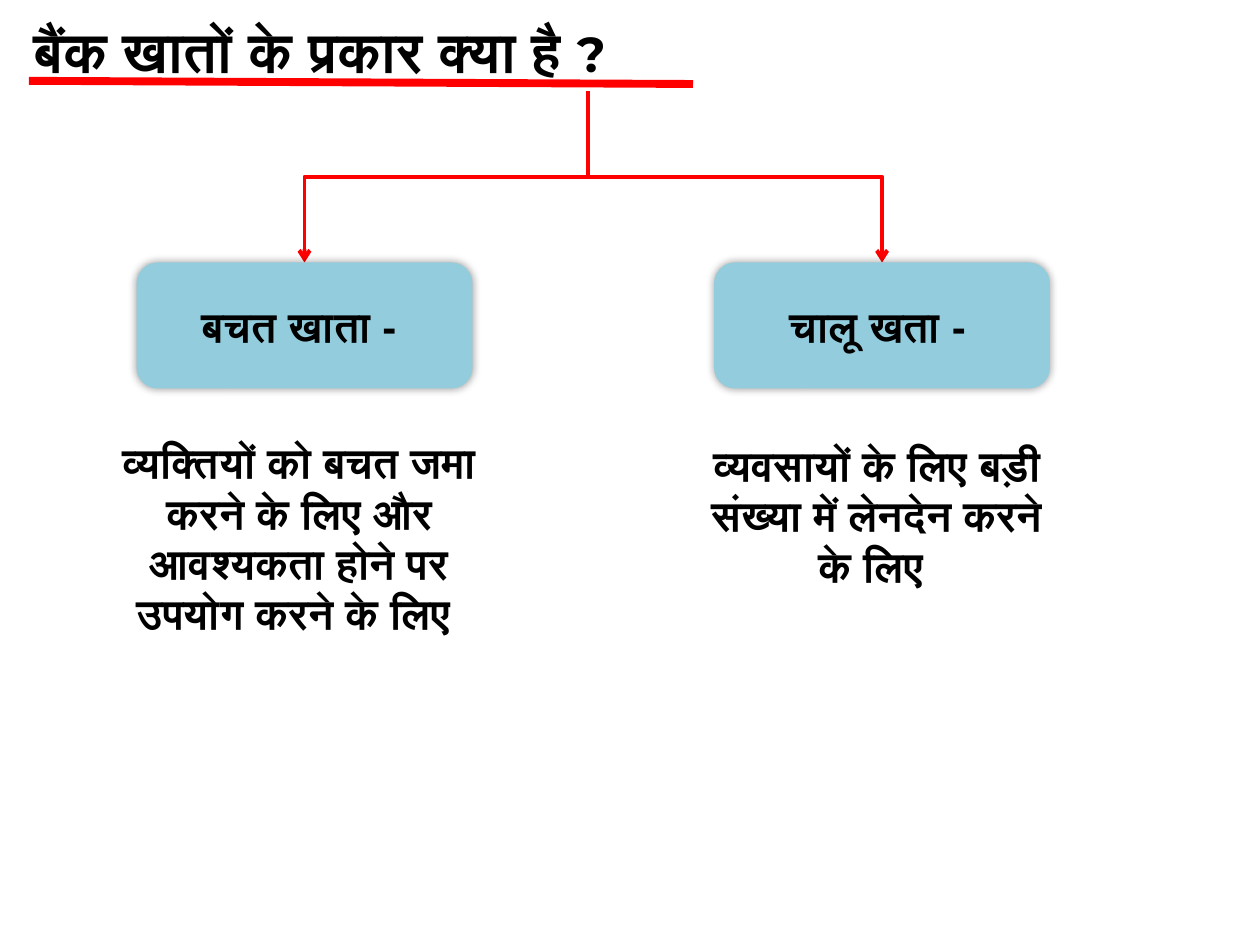
from lxml import etree
from pptx import Presentation, util as u
from pptx.dml.color import RGBColor
from pptx.enum import shapes, text
from pptx.oxml import ns

COLUMNS, ROWS = 120, 90
RED, BLUE, BLACK = "FF0000", "93CDDD", "000000"

presentation = Presentation()
presentation.slide_width, presentation.slide_height = u.Inches(10), u.Inches(7.5)
slide = presentation.slides.add_slide(presentation.slide_layouts[6])


def grid(*lengths):
    units = (presentation.slide_width / COLUMNS, presentation.slide_height / ROWS)
    return [round(length * units[i % 2]) for i, length in enumerate(lengths)]


def color(value):
    return RGBColor.from_string(value)


def add_element(parent, tag, **attributes):
    return etree.SubElement(parent, ns.qn(tag), attributes)


def write_text(parent, box, *runs, font="Arial", size=24, align=None):
    frame = parent.shapes.add_textbox(*grid(*box)).text_frame
    frame.word_wrap = True
    frame.auto_size = text.MSO_AUTO_SIZE.SHAPE_TO_FIT_TEXT
    paragraph = frame.paragraphs[0]
    paragraph.alignment = align
    for content, run_size in runs:
        run = paragraph.add_run()
        run.text = content
        run.font.name, run.font.size, run.font.bold = font, u.Pt(run_size or size), True
        run.font.color.rgb = color(BLACK)


def add_line(kind, start, end, width, arrow=False):
    line = slide.shapes.add_connector(kind, *grid(*start, *end))
    line.line.color.rgb = color(RED)
    line.line.width = u.Pt(width)
    if arrow:
        add_element(line.line._get_or_add_ln(), "a:tailEnd", type="arrow")
    add_element(line._element.spPr, "a:effectLst")
    return line


def add_title(box):
    left, top, width, height = box
    write_text(slide, box, ("बैंक खातों के प्रकार क्या है ", 32), ("?", 28), font="Montserrat")
    add_line(shapes.MSO_CONNECTOR.STRAIGHT,
             (left + 0.75, top + 6.7), (left + 64, top + 7), 4.5)


def add_branch(start, end):
    span, drop = end[0] - start[0], end[1] - start[1]
    center_x, center_y = (start[0] + end[0]) / 2, (start[1] + end[1]) / 2
    side = 1 if span > 0 else -1
    half_drop, half_span = side * drop / 2, abs(span) / 2
    branch = add_line(shapes.MSO_CONNECTOR.ELBOW,
                      (center_x + half_drop, center_y - half_span),
                      (center_x - half_drop, center_y + half_span), 2.25, arrow=True)
    branch.rotation = 270 if side > 0 else 90


def add_card(box, label, indent):
    left, top, width, height = box
    group = slide.shapes.add_group_shape()
    card = group.shapes.add_shape(shapes.MSO_SHAPE.ROUNDED_RECTANGLE, *grid(*box))
    card.fill.solid()
    card.fill.fore_color.rgb = color(BLUE)
    card.line.fill.background()
    effects = add_element(card._element.spPr, "a:effectLst")
    shadow = add_element(effects, "a:outerShdw", blurRad=str(u.Pt(5)), dist="0", dir="0",
                         algn="ctr", rotWithShape="0")
    add_element(add_element(shadow, "a:srgbClr", val=BLACK), "a:alpha", val="40000")
    write_text(group, (left + indent, top + 3, 22, 6), (label, None))


def add_account(box, label, indent, description, description_box):
    left, top, width, height = box
    add_branch((56, 8.67), (left + width / 2, top))
    add_card(box, label, indent)
    write_text(slide, description_box, (description, None), align=text.PP_ALIGN.CENTER)


add_title((2, 1, 108, 7.7))
add_account((13, 25, 32, 12), "बचत खाता -", 5,
            "व्यक्तियों को बचत जमा करने के लिए और आवश्यकता होने पर उपयोग करने के लिए ",
            (10, 41, 37, 20.6))
add_account((68, 25, 32, 12), "चालू खता -", 6,
            "व्यवसायों के लिए बड़ी संख्या में लेनदेन करने के लिए ",
            (66, 41.25, 35, 15.75))
presentation.save("out.pptx")
